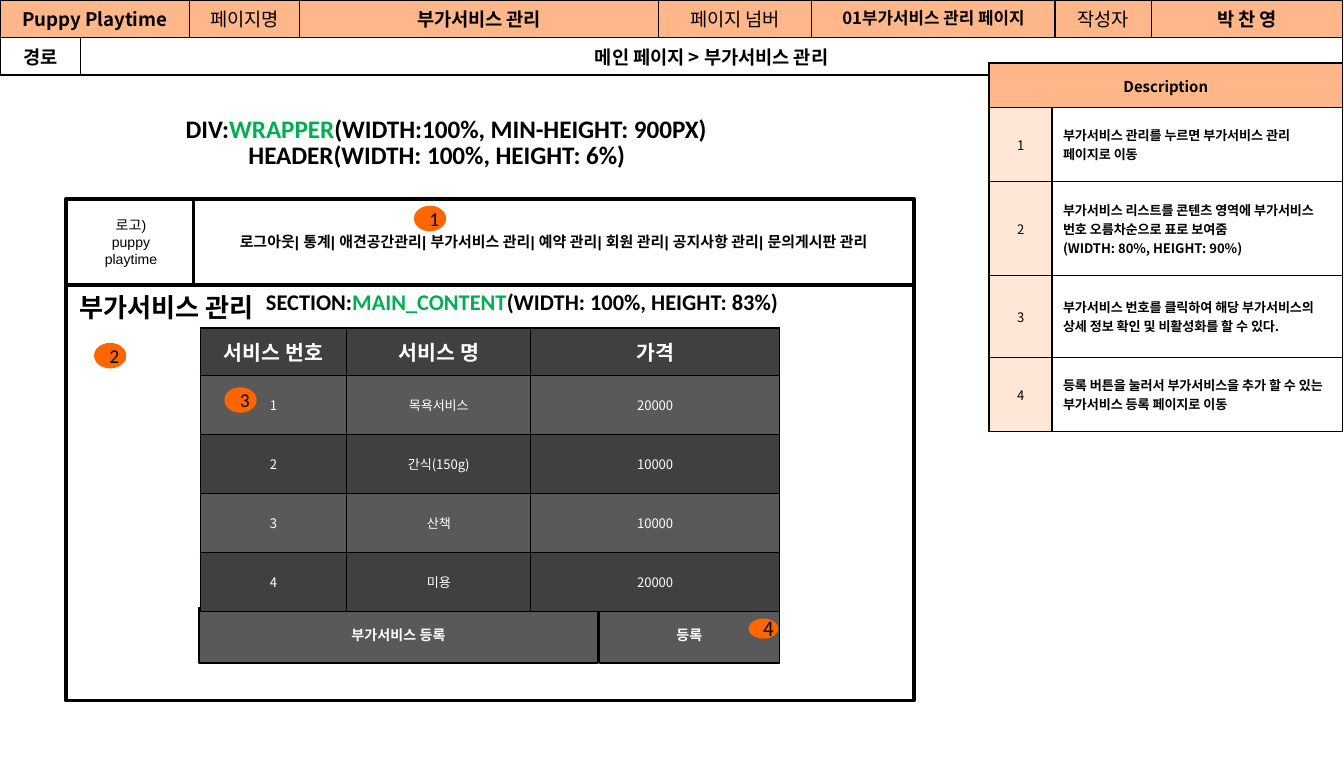
import lxml.etree
import pptx
import pptx.dml.color
import pptx.enum.shapes
import pptx.enum.text
import pptx.oxml.ns
import pptx.util

Inches = pptx.util.Inches
Pt = pptx.util.Pt
RGBColor = pptx.dml.color.RGBColor
qn = pptx.oxml.ns.qn
SHAPE = pptx.enum.shapes.MSO_SHAPE
ANCHOR = pptx.enum.text.MSO_ANCHOR
ALIGN = pptx.enum.text.PP_ALIGN

BLACK = RGBColor(0, 0, 0)
WHITE = RGBColor(0xFF, 0xFF, 0xFF)
GREEN = RGBColor(0x00, 0xB0, 0x50)
PEACH = RGBColor(0xFF, 0xB6, 0x89)
PALE_PEACH = RGBColor(0xFF, 0xE7, 0xD8)
ORANGE = RGBColor(0xFF, 0x66, 0x00)
DARK = RGBColor(0x40, 0x40, 0x40)
GREY = RGBColor(0x59, 0x59, 0x59)
NOTO = "Noto Sans CJK KR"


def style_text(tf, size, font=NOTO, bold=False, color=BLACK, align=ALIGN.CENTER):
    for p in tf.paragraphs:
        p.alignment = align
        for r in p.runs:
            r.font.size = Pt(size)
            r.font.name = font
            r.font.bold = bold
            r.font.color.rgb = color
            ea = lxml.etree.SubElement(r.font._element, qn("a:ea"))
            ea.set("typeface", NOTO)


def add_grid(x, y, cols, rows, border, inset):
    """Add a table with plain black borders and no banding."""
    frame = s.shapes.add_table(len(rows), len(cols), Inches(x), Inches(y),
                               Inches(sum(cols)), Inches(sum(rows)))
    table = frame.table
    table.first_row = table.horz_banding = False
    for col, width in zip(table.columns, cols):
        col.width = Inches(width)
    for row, height in zip(table.rows, rows):
        row.height = Inches(height)
    for cell in table.iter_cells():
        cell.margin_left = cell.margin_right = Inches(inset[0])
        cell.margin_top = cell.margin_bottom = Inches(inset[1])
        cell.vertical_anchor = ANCHOR.MIDDLE
        for side in ("a:lnL", "a:lnR", "a:lnT", "a:lnB"):
            ln = lxml.etree.SubElement(cell._tc.get_or_add_tcPr(), qn(side), w=str(Pt(border)))
            fill = lxml.etree.SubElement(ln, qn("a:solidFill"))
            lxml.etree.SubElement(fill, qn("a:srgbClr"), val=str(BLACK))
    return table


prs = pptx.Presentation()
prs.slide_width = Inches(10)
prs.slide_height = Inches(5.63)
s = prs.slides.add_slide(prs.slide_layouts[5])

# Page header
header = add_grid(0, 0, [0.6, 0.81, 0.82, 2.67, 1.14, 1.81, 0.72, 1.42], [0.24] * 2, 1, (0.09, 0.04))
header.cell(0, 0).merge(header.cell(0, 1))
header.cell(1, 1).merge(header.cell(1, 7))
header_cells = [
    (0, 0, "Puppy Playtime", 10, True),
    (0, 2, "페이지명", 10, False),
    (0, 3, "부가서비스 관리", 10, True),
    (0, 4, "페이지 넘버", 10, False),
    (0, 5, "01부가서비스 관리 페이지", 9, True),
    (0, 6, "작성자", 10, False),
    (0, 7, "박 찬 영", 10, True),
    (1, 0, "경로", 10, True),
    (1, 1, "메인 페이지 > 부가서비스 관리", 10, True),
]
for row, col, text, size, bold in header_cells:
    cell = header.cell(row, col)
    cell.text = text
    style_text(cell.text_frame, size, bold=bold)
    cell.fill.solid()
    cell.fill.fore_color.rgb = WHITE if row else PEACH
    cell.vertical_anchor = ANCHOR.MIDDLE if row else ANCHOR.TOP

# Wireframe areas and the registration bar
nav = "로그아웃| 통계| 애견공간관리| 부가서비스 관리| 예약 관리| 회원 관리| 공지사항 관리| 문의게시판 관리"
boxes = [
    (0.49, 2.12, 6.31, 3.09, "", 8, "Arial", False, 0.1),
    (0.49, 1.48, 0.97, 0.64, "로고)\npuppy\nplaytime", 7.5, "Arial", False, 0.08),
    (1.44, 1.48, 5.36, 0.64, nav, 8, "Arial", True, 0.1),
    (4.46, 4.52, 1.34, 0.41, "등록", 7.5, NOTO, True, 0.08),
    (1.48, 4.52, 2.97, 0.41, "부가서비스 등록", 7.5, NOTO, True, 0.08),
]
for x, y, w, h, text, size, font, bold, inset in boxes:
    is_bar = font == NOTO
    sp = s.shapes.add_shape(SHAPE.RECTANGLE, Inches(x), Inches(y), Inches(w), Inches(h))
    sp.shadow.inherit = False
    sp.fill.solid()
    sp.fill.fore_color.rgb = GREY if is_bar else WHITE
    sp.line.color.rgb = BLACK
    sp.line.width = Pt(0.75 if is_bar else 2)
    tf = sp.text_frame
    tf.text = text
    tf.margin_left = tf.margin_right = Inches(inset)
    tf.margin_top = tf.margin_bottom = Inches(inset / 2)
    tf.vertical_anchor = ANCHOR.MIDDLE
    style_text(tf, size, font, bold, WHITE if is_bar else BLACK)

# Layout notes, with the element name in green
notes = [
    (1.36, 2.09, 5.05, 0.29, 12, ["SECTION:", "MAIN_CONTENT", "(WIDTH: 100%, HEIGHT: 83%)"]),
    (0.75, 0.79, 5.14, 0.33, 13.5, ["DIV:", "WRAPPER", "(WIDTH:100%, MIN-HEIGHT: 900PX)"]),
    (1.36, 0.99, 3.78, 0.33, 13.5, ["HEADER(WIDTH: 100%, HEIGHT: 6%)"]),
]
for x, y, w, h, size, parts in notes:
    tf = s.shapes.add_textbox(Inches(x), Inches(y), Inches(w), Inches(h)).text_frame
    tf.word_wrap = True
    p = tf.paragraphs[0]
    for part in parts:
        p.add_run().text = part
    style_text(tf, size, "Calibri", True)
    for r in p.runs[1:2]:
        r.font.color.rgb = GREEN

# Section title
title = s.shapes.title
title.left, title.top, title.width, title.height = Inches(0.49), Inches(2.12), Inches(1.62), Inches(0.34)
tf = title.text_frame
tf.text = "부가서비스 관리"
tf.word_wrap = False
tf.auto_size = pptx.enum.text.MSO_AUTO_SIZE.NONE
tf.vertical_anchor = ANCHOR.TOP
style_text(tf, 14, "Calibri", True, align=ALIGN.LEFT)
s.shapes._spTree.append(title._element)

# Service list
services = [
    ("서비스 번호", "서비스 명", "가격"),
    ("1", "목욕서비스", "20000"),
    ("2", "간식(150g)", "10000"),
    ("3", "산책", "10000"),
    ("4", "미용", "20000"),
]
service_table = add_grid(1.49, 2.44, [1.09, 1.37, 1.85], [0.35] + [0.44] * 4, 0.75, (0.08, 0.04))
for row, values in enumerate(services):
    for col, text in enumerate(values):
        cell = service_table.cell(row, col)
        cell.text = text
        style_text(cell.text_frame, 7 if row else 11, bold=row == 0, color=WHITE)
        cell.fill.solid()
        cell.fill.fore_color.rgb = GREY if row % 2 else DARK

# Numbered markers
markers = [
    (3.08, 1.53, 0.24, 0.19, "Calibri"),
    (0.7, 2.55, 0.24, 0.19, "Calibri"),
    (1.67, 2.88, 0.24, 0.19, "Calibri"),
    (5.57, 4.6, 0.22, 0.15, NOTO),
]
for number, (x, y, w, h, font) in enumerate(markers, 1):
    sp = s.shapes.add_shape(SHAPE.OVAL, Inches(x), Inches(y), Inches(w), Inches(h))
    sp.shadow.inherit = False
    sp.fill.solid()
    sp.fill.fore_color.rgb = ORANGE
    sp.line.fill.background()
    tf = sp.text_frame
    tf.text = str(number)
    tf.margin_left = tf.margin_right = Inches(0.08)
    tf.margin_top = tf.margin_bottom = Inches(0.04)
    tf.vertical_anchor = ANCHOR.MIDDLE
    style_text(tf, 10.5, font)

# Description panel
descriptions = [
    "부가서비스 관리를 누르면 부가서비스 관리 페이지로 이동",
    "부가서비스 리스트를 콘텐츠 영역에 부가서비스 번호 오름차순으로 표로 보여줌\n(WIDTH: 80%, HEIGHT: 90%)",
    "부가서비스 번호를 클릭하여 해당 부가서비스의 상세 정보 확인 및 비활성화를 할 수 있다.",
    "등록 버튼을 눌러서 부가서비스을 추가 할 수 있는 부가서비스 등록 페이지로 이동",
]
panel = add_grid(7.36, 0.47, [0.47, 2.16], [0.33, 0.55, 0.7, 0.61, 0.55], 1, (0.08, 0.03))
heading = panel.cell(0, 0)
heading.merge(panel.cell(0, 1))
heading.text = "Description"
style_text(heading.text_frame, 8, bold=True)
heading.fill.solid()
heading.fill.fore_color.rgb = PEACH
for row, text in enumerate(descriptions, 1):
    number, detail = panel.cell(row, 0), panel.cell(row, 1)
    number.text = str(row)
    detail.text = text
    style_text(number.text_frame, 7)
    style_text(detail.text_frame, 7, bold=True, align=ALIGN.LEFT)
    for cell, color in ((number, PALE_PEACH), (detail, WHITE)):
        cell.fill.solid()
        cell.fill.fore_color.rgb = color

prs.save("out.pptx")
